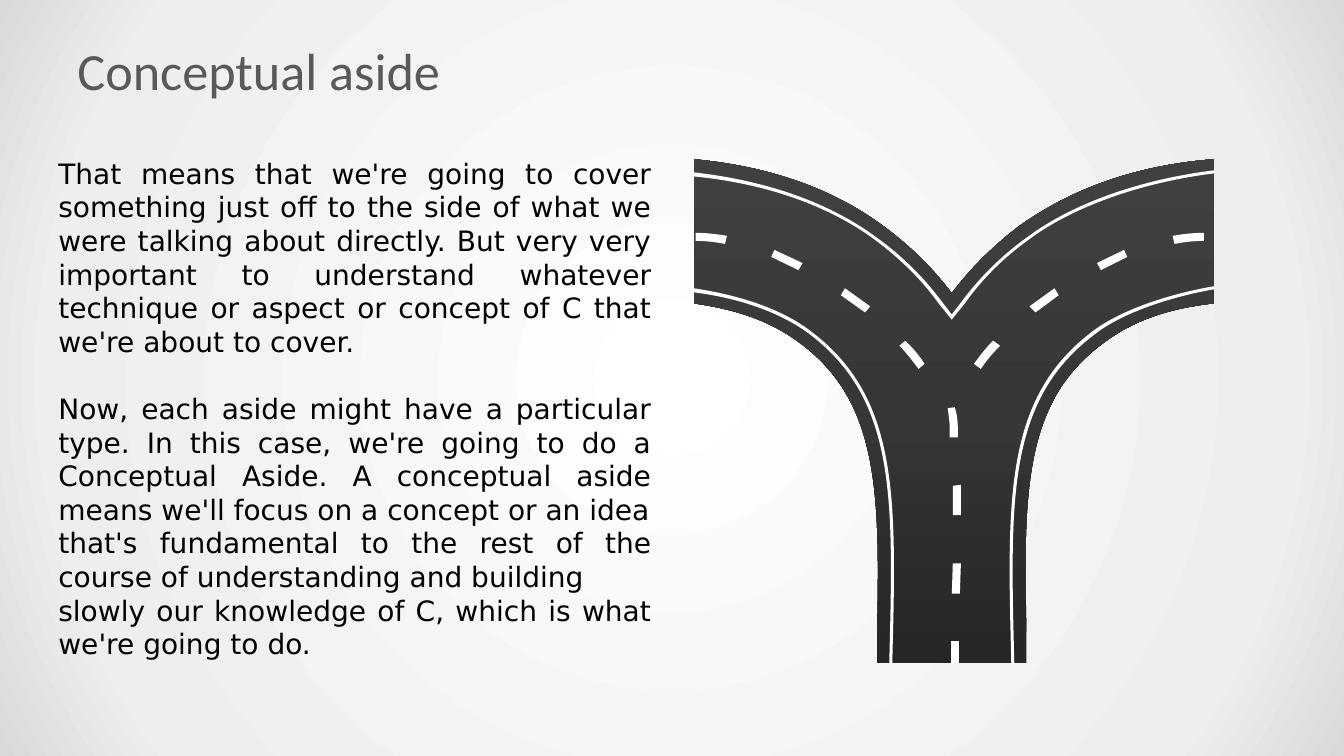
import pptx
import pptx.util
import pptx.dml.color
import pptx.enum.text
import pptx.oxml
import pptx.oxml.ns
from dataclasses import dataclass
from lxml import etree

Inches = pptx.util.Inches
Pt = pptx.util.Pt
qn = pptx.oxml.ns.qn


@dataclass(frozen=True)
class Theme:
    heading_font: str = "Calibri"
    heading_size: float = 37.3
    heading_color: str = "595959"
    body_font: str = "DejaVu Sans"
    body_size: float = 20
    body_color: str = "000000"
    paragraph_gap: float = 24
    marking: str = "FFFFFF"
    asphalt: tuple = ((0, "262626"), (50, "363636"), (100, "404040"))
    backdrop: tuple = ((0, "FFFFFF"), (81, "EEEEEE"), (100, "D9D9D9"))


THEME = Theme()

HEADING = "Conceptual aside"
# Each entry: wording, space before in points
PARAGRAPHS = [
    ("That means that we're going to cover something just off to the side of what "
     "we were talking about directly. But very very important to understand whatever "
     "technique or aspect or concept of C that we're about to cover.", 0),
    ("Now, each aside might have a particular type. In this case, we're going to do a "
     "Conceptual Aside. A conceptual aside means we'll focus on a concept or an idea",
     THEME.paragraph_gap),
    ("that's fundamental to the rest of the course of understanding and building", 0),
    ("slowly our knowledge of C, which is what we're going to do.", 0),
]

# Outlines in inches from the fork's corner: two numbers are a corner, six a Bezier curve
ROAD = [
    (3.22, 0.67), (2.96, 0.87, 2.74, 1.09, 2.56, 1.33), (2.38, 1.09, 2.16, 0.87, 1.89, 0.67),
    (1.38, 0.29, 0.75, 0.07, 0, 0), (0, 1.43), (0.43, 1.49, 0.77, 1.61, 1.05, 1.82),
    (1.81, 2.38, 1.85, 3.24, 1.82, 4.58), (1.82, 5), (3.3, 5), (3.3, 4.58),
    (3.27, 3.24, 3.3, 2.38, 4.07, 1.82), (4.36, 1.6, 4.71, 1.48, 5.16, 1.43), (5.16, 0),
    (4.39, 0.06, 3.75, 0.29, 3.22, 0.67),
]
LEFT_EDGE = [
    (1.14, 1.69), (0.87, 1.49, 0.47, 1.35, 0, 1.28), (0, 1.32),
    (0.47, 1.38, 0.85, 1.52, 1.13, 1.72), (1.94, 2.32, 1.98, 3.2, 1.95, 4.59),
    (1.94, 5), (1.97, 5), (1.98, 4.59), (2.01, 3.19, 1.97, 2.3, 1.14, 1.69),
]
RIGHT_EDGE = [
    (3.14, 4.59), (3.15, 5), (3.18, 5), (3.17, 4.59), (3.14, 3.2, 3.18, 2.32, 4, 1.72),
    (4.28, 1.51, 4.76, 1.36, 5.16, 1.29), (5.16, 1.26),
    (4.75, 1.33, 4.27, 1.48, 3.98, 1.69), (3.15, 2.3, 3.11, 3.19, 3.14, 4.59),
]
TOP_EDGE = [
    (3.3, 0.78), (3.05, 0.96, 2.84, 1.17, 2.66, 1.41), (2.56, 1.54), (2.46, 1.41),
    (2.28, 1.17, 2.07, 0.96, 1.82, 0.78), (1.35, 0.43, 0.72, 0.21, 0, 0.13), (0, 0.17),
    (0.72, 0.24, 1.34, 0.46, 1.8, 0.8), (2.04, 0.98, 2.26, 1.19, 2.43, 1.43), (2.56, 1.59),
    (2.69, 1.43), (2.86, 1.19, 3.07, 0.98, 3.32, 0.8), (3.76, 0.47, 4.44, 0.23, 5.16, 0.14),
    (5.16, 0.11), (4.43, 0.2, 3.75, 0.44, 3.3, 0.78),
]
DASHES = [
    [(2.04, 1.85), (2.11, 1.92, 2.17, 2, 2.23, 2.08), (2.29, 2.03),
     (2.24, 1.95, 2.17, 1.87, 2.1, 1.8)],
    [(2.55, 5), (2.63, 5), (2.63, 4.78), (2.55, 4.78)],
    [(2.62, 2.76), (2.62, 2.67), (2.62, 2.59, 2.61, 2.52, 2.59, 2.46), (2.52, 2.47),
     (2.53, 2.54, 2.54, 2.61, 2.54, 2.67), (2.54, 2.76)],
    [(0.02, 0.73), (0.02, 0.81), (0.11, 0.81, 0.21, 0.82, 0.31, 0.84), (0.33, 0.76),
     (0.22, 0.74, 0.11, 0.73, 0.02, 0.73)],
    [(0.8, 0.9), (0.77, 0.97), (1.04, 1.1), (1.08, 1.03)],
    [(1.5, 1.28), (1.46, 1.35), (1.7, 1.52), (1.75, 1.46)],
    [(3.58, 1.28), (3.33, 1.46), (3.39, 1.52), (3.62, 1.35)],
    [(2.56, 4.31), (2.64, 4.31), (2.65, 4.01), (2.57, 4.01)],
    [(5.06, 0.73), (4.97, 0.73, 4.86, 0.74, 4.75, 0.76), (4.77, 0.84),
     (4.87, 0.82, 4.97, 0.81, 5.06, 0.81)],
    [(4.27, 0.9), (4, 1.03), (4.04, 1.1), (4.3, 0.97)],
    [(2.57, 3.24), (2.57, 3.53), (2.65, 3.53), (2.65, 3.23)],
    [(2.78, 2.03), (2.85, 2.08), (2.9, 2, 2.97, 1.92, 3.04, 1.85), (2.97, 1.8),
     (2.9, 1.87, 2.84, 1.95, 2.78, 2.03)],
]


def rgb(color):
    return pptx.dml.color.RGBColor.from_string(color)


def set_gradient(fill, owner, stops, direction):
    """Fill with the given stops; direction is the XML of a:lin or a:path."""
    fill.gradient()
    gradient = next(owner.iter(qn("a:gradFill")))
    for child in list(gradient):
        gradient.remove(child)
    stop_list = etree.SubElement(gradient, qn("a:gsLst"))
    for position, color in stops:
        stop = etree.SubElement(stop_list, qn("a:gs"), pos=str(position * 1000))
        etree.SubElement(stop, qn("a:srgbClr"), val=color)
    gradient.append(pptx.oxml.parse_xml(direction))


def paint_backdrop(slide):
    namespace = pptx.oxml.ns.nsdecls("a")
    set_gradient(slide.background.fill, slide.element, THEME.backdrop,
                 f'<a:path {namespace} path="circle">'
                 '<a:fillToRect l="50000" t="50000" r="50000" b="50000"/></a:path>')


def add_text(slide, box, paragraphs, anchor, alignment, font_format):
    frame = slide.shapes.add_textbox(*map(Inches, box)).text_frame
    frame.word_wrap = True
    frame.vertical_anchor = anchor
    for index, (wording, gap) in enumerate(paragraphs):
        paragraph = frame.paragraphs[0] if index == 0 else frame.add_paragraph()
        paragraph.alignment = alignment
        if gap:
            paragraph.space_before = Pt(gap)
        run = paragraph.add_run()
        run.text = wording
        for attribute, value in font_format["font"].items():
            setattr(run.font, attribute, value)
        run.font.color.rgb = rgb(font_format["color"])


def add_heading(slide, box):
    add_text(slide, box, [(HEADING, 0)], pptx.enum.text.MSO_ANCHOR.MIDDLE,
             pptx.enum.text.PP_ALIGN.LEFT,
             {"font": {"name": THEME.heading_font, "size": Pt(THEME.heading_size)},
              "color": THEME.heading_color})


def add_explanation(slide, box):
    add_text(slide, box, PARAGRAPHS, pptx.enum.text.MSO_ANCHOR.TOP,
             pptx.enum.text.PP_ALIGN.JUSTIFY,
             {"font": {"name": THEME.body_font, "size": Pt(THEME.body_size)},
              "color": THEME.body_color})


def bend_segments(part, outline, corner):
    """Turn the straight segments that have control points into Bezier curves."""
    segments = list(part.element.iter(qn("a:lnTo")))
    for segment, step in zip(segments, outline[1:]):
        if len(step) == 2:
            continue
        curve = etree.Element(qn("a:cubicBezTo"))
        for x, y in zip(step[::2], step[1::2]):
            etree.SubElement(curve, qn("a:pt"), x=str(Inches(x) - corner[0]),
                             y=str(Inches(y) - corner[1]))
        segment.getparent().replace(segment, curve)


def add_road_fork(slide, left, top):
    fork = slide.shapes.add_group_shape()

    def add_outline(outline):
        ends = [(Inches(step[-2]), Inches(step[-1])) for step in outline]
        builder = fork.shapes.build_freeform(*ends[0])
        builder.add_line_segments(ends[1:], close=True)
        part = builder.convert_to_shape(Inches(left), Inches(top))
        bend_segments(part, outline, [min(axis) for axis in zip(*ends)])
        part.shadow.inherit = False
        part.line.fill.background()
        return part

    # Asphalt
    road = add_outline(ROAD)
    set_gradient(road.fill, road.element, THEME.asphalt,
                 f'<a:lin {pptx.oxml.ns.nsdecls("a")} ang="16200000" scaled="0"/>')
    # Lane dashes and edge lines
    for outline in DASHES + [LEFT_EDGE, RIGHT_EDGE, TOP_EDGE]:
        marking = add_outline(outline)
        marking.fill.solid()
        marking.fill.fore_color.rgb = rgb(THEME.marking)


def main():
    deck = pptx.Presentation()
    deck.slide_width, deck.slide_height = Inches(13.33), Inches(7.5)
    slide = deck.slides.add_slide(deck.slide_layouts[6])
    paint_backdrop(slide)
    add_heading(slide, (0.67, 0.3, 12, 0.78))
    add_road_fork(slide, 6.88, 1.58)
    add_explanation(slide, (0.48, 1.5, 6.08, 5.15))
    deck.save("out.pptx")


if __name__ == "__main__":
    main()
